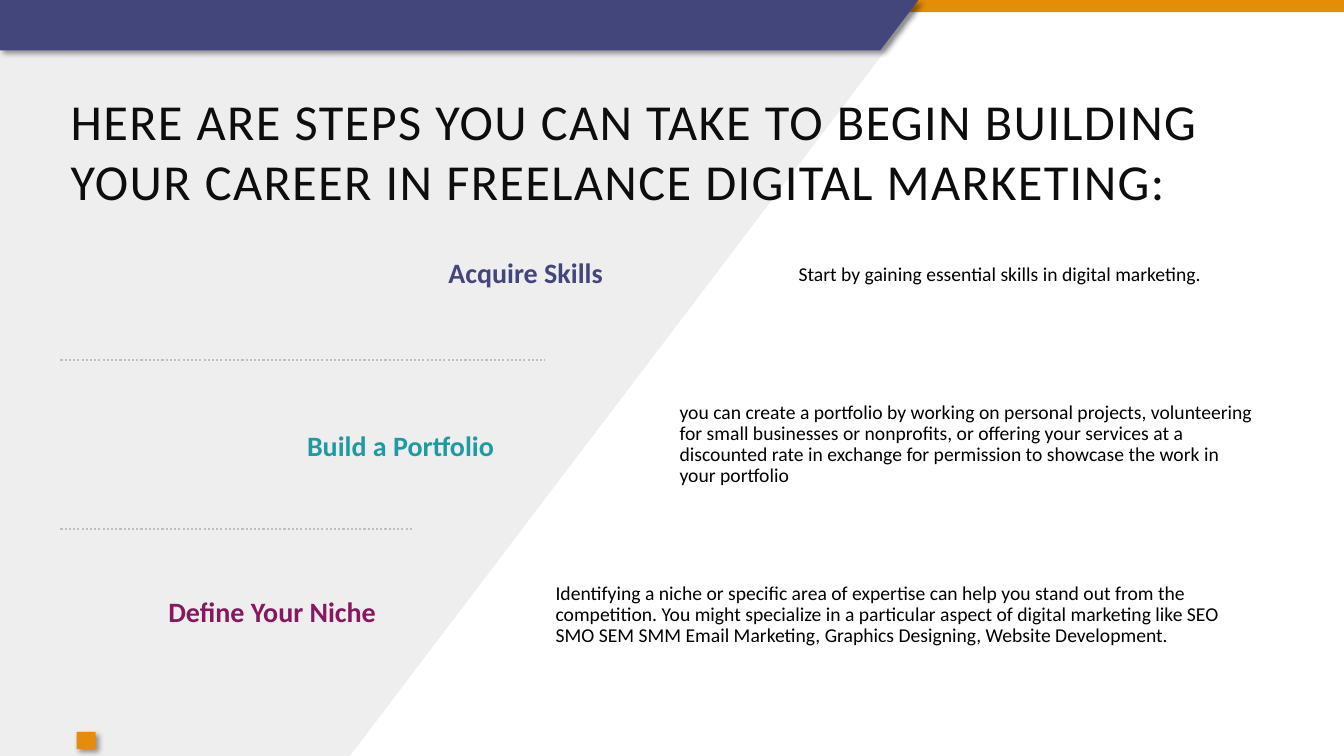
from copy import deepcopy

from lxml import etree
from pptx import Presentation
from pptx.dml.color import RGBColor
from pptx.enum.dml import MSO_LINE
from pptx.enum.shapes import MSO_CONNECTOR, MSO_SHAPE
from pptx.enum.text import MSO_ANCHOR, MSO_AUTO_SIZE, PP_ALIGN
from pptx.oxml.ns import qn
from pptx.util import Inches, Pt

LEFT, RIGHT = PP_ALIGN.LEFT, PP_ALIGN.RIGHT
TOP, MIDDLE = MSO_ANCHOR.TOP, MSO_ANCHOR.MIDDLE

TITLE = ("HERE ARE STEPS YOU CAN TAKE TO BEGIN BUILDING "
         "YOUR CAREER IN FREELANCE DIGITAL MARKETING:")
TITLE_BOX = (0.6, 0.84, 11.82, 0.77)

# label, colour name, label box, detail, detail box
STEPS = [
    ("Acquire Skills", "indigo", (0.68, 2.49, 5.4, 0.46),
     "Start by gaining essential skills in digital marketing.",
     (7.82, 2.23, 4.72, 1)),
    ("Build a Portfolio", "teal", (0.6, 4.21, 4.4, 0.46),
     "you can create a portfolio by working on personal projects, volunteering "
     "for small businesses or nonprofits, or offering your services at a "
     "discounted rate in exchange for permission to showcase the work in "
     "your portfolio",
     (6.64, 3.91, 5.9, 1)),
    ("Define Your Niche", "plum", (0.6, 5.86, 3.23, 0.46),
     "Identifying a niche or specific area of expertise can help you stand out "
     "from the competition. You might specialize in a particular aspect of "
     "digital marketing like SEO SMO SEM SMM Email Marketing, Graphics "
     "Designing, Website Development.",
     (5.41, 5.6, 7.12, 1)),
]
DIVIDERS = [(0.6, 5.4, 3.57), (0.6, 4.1, 5.25)]  # start x, end x, y

GREY_PANEL = [(0, 0), (9.11, 0), (9.11, 0.07), (3.47, 7.5), (0, 7.5)]
HEADER_BAND = [(0, 0), (9.11, 0), (8.73, 0.5), (0, 0.5)]
TOP_STRIP = (0, 0, 13.33, 0.12)
CORNER_SQUARE = (0.76, 7.26, 0.19, 0.17)

THEME = {
    "font": "Calibri",
    "title": 36, "label": 20, "detail": 14,
    "ink": "0D0D0D", "black": "000000", "panel": "EEEEEE", "rule": "BFBFBF",
    "orange": "E58C09", "indigo": "43467B", "teal": "1D9BA1", "plum": "87175F",
}


def colour(name):
    return RGBColor.from_string(THEME[name])


def inches(values):
    return [Inches(value) for value in values]


def apply(target, formats):
    for name, value in formats.items():
        setattr(target, name, value)


def add_body_placeholders(layout, count):
    """Extend the layout so that it offers the given number of body placeholders."""
    body = layout.placeholders[1]._element
    for index in range(1, count):
        extra = deepcopy(body)
        extra.nvSpPr.cNvPr.set("id", str(20 + index))
        extra.nvSpPr.cNvPr.set("name", f"Step Text {index + 1}")
        extra.find(".//" + qn("p:ph")).set("idx", str(20 + index))
        body.getparent().append(extra)


def paint(shape, fill, shadow=False):
    shape.fill.solid()
    shape.fill.fore_color.rgb = colour(fill)
    shape.line.fill.background()
    shape.shadow.inherit = False
    if shadow:
        effects = shape._element.spPr.find(qn("a:effectLst"))
        outer = etree.SubElement(effects, qn("a:outerShdw"), blurRad=str(Pt(4)),
                                 dist=str(Pt(3)), dir=str(45 * 60000),
                                 algn="tl", rotWithShape="0")
        tint = etree.SubElement(outer, qn("a:srgbClr"), val=THEME["black"])
        etree.SubElement(tint, qn("a:alpha"), val="40000")


def add_polygon(page, points, fill, shadow=False):
    start, *rest = [inches(point) for point in points]
    builder = page.shapes.build_freeform(*start, scale=1.0)
    builder.add_line_segments(rest, close=True)
    paint(builder.convert_to_shape(), fill, shadow)


def add_rectangle(page, box, fill, shadow=False):
    shape = page.shapes.add_shape(MSO_SHAPE.RECTANGLE, *inches(box))
    paint(shape, fill, shadow)


def add_divider(page, start, end, y):
    line = page.shapes.add_connector(MSO_CONNECTOR.STRAIGHT,
                                     *inches((start, y, end, y)))
    line.line.color.rgb = colour("rule")
    apply(line.line, {"width": Pt(1.5), "dash_style": MSO_LINE.ROUND_DOT})
    etree.SubElement(line._element.spPr, qn("a:effectLst"))


def write(holder, text, box, size, ink, anchor=MIDDLE, align=LEFT,
          bold=False, line_spacing=0.9, tracking=0):
    left, top, width, height = inches(box)
    apply(holder, {"left": left, "top": top, "width": width, "height": height})
    frame = holder.text_frame
    apply(frame, {"word_wrap": True, "auto_size": MSO_AUTO_SIZE.NONE,
                  "vertical_anchor": anchor})
    para = frame.paragraphs[0]
    settings = para._p.get_or_add_pPr()
    apply_indent = {"marL": "0", "indent": "0"}
    for name, value in apply_indent.items():
        settings.set(name, value)
    etree.SubElement(settings, qn("a:buNone"))
    apply(para, {"alignment": align, "line_spacing": line_spacing,
                 "space_before": Pt(0), "space_after": Pt(2)})
    span = para.add_run()
    span.text = text
    apply(span.font, {"name": THEME["font"], "size": Pt(THEME[size]), "bold": bold})
    span.font.color.rgb = colour(ink)
    if tracking:
        span._r.get_or_add_rPr().set("spc", str(tracking * 100))


def main():
    deck = Presentation()
    deck.slide_width, deck.slide_height = inches((13.33, 7.5))
    layout = deck.slide_layouts[1]
    add_body_placeholders(layout, 2 * len(STEPS))
    page = deck.slides.add_slide(layout)
    title, *bodies = list(page.placeholders)

    add_polygon(page, GREY_PANEL, "panel")
    add_rectangle(page, TOP_STRIP, "orange")
    add_polygon(page, HEADER_BAND, "indigo", shadow=True)
    for holder in (title, *bodies):  # bring the text in front of the backdrop
        page.shapes._spTree.append(holder._element)

    write(title, TITLE, TITLE_BOX, "title", "ink", anchor=TOP,
          line_spacing=1.0, tracking=1)
    pairs = zip(bodies[::2], bodies[1::2])
    for (detail_holder, label_holder), step in zip(pairs, STEPS):
        label, ink, label_box, detail, detail_box = step
        write(detail_holder, detail, detail_box, "detail", "black")
        write(label_holder, label, label_box, "label", ink, align=RIGHT, bold=True)

    add_rectangle(page, CORNER_SQUARE, "orange", shadow=True)
    for divider in DIVIDERS:
        add_divider(page, *divider)
    deck.save("out.pptx")


if __name__ == "__main__":
    main()
